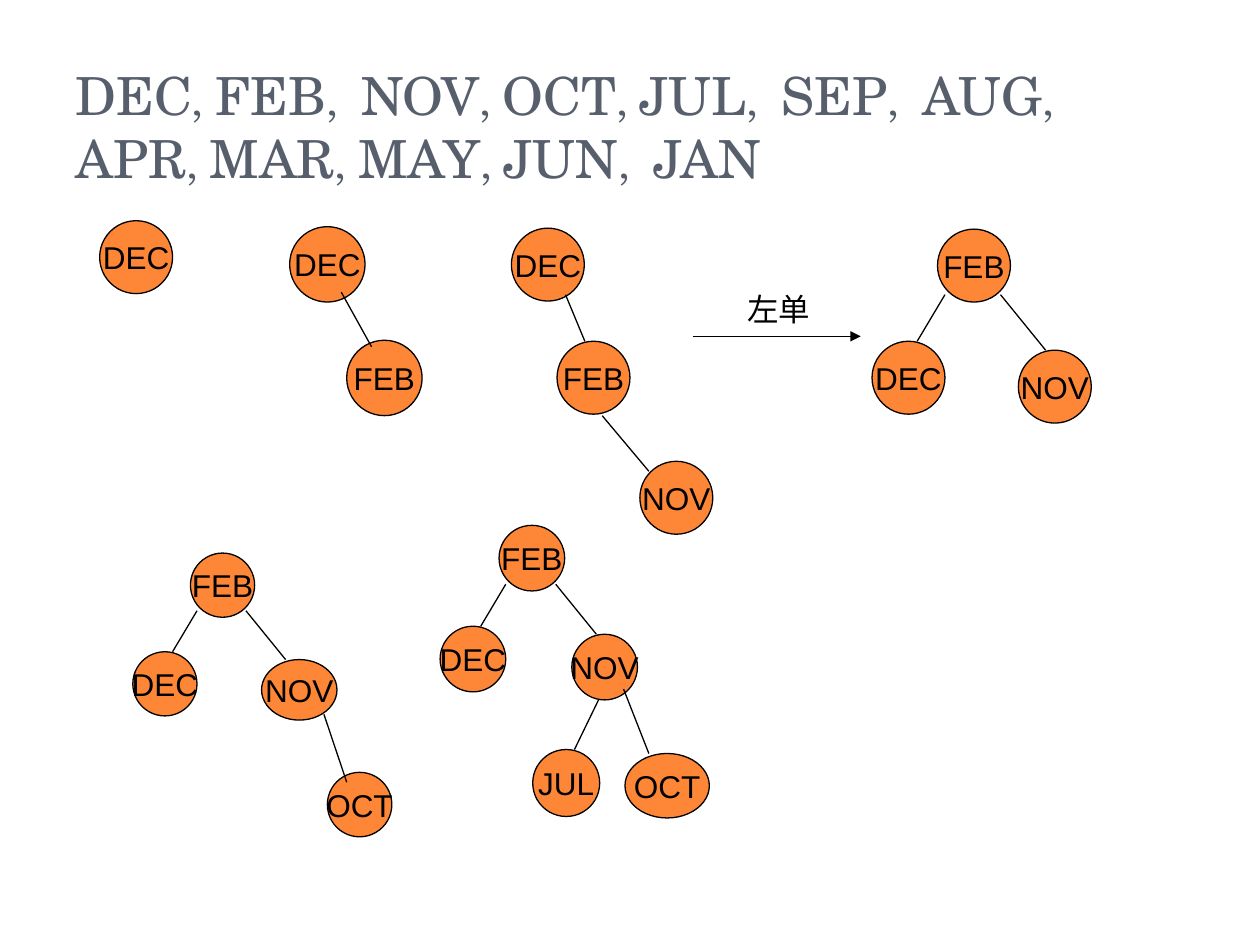
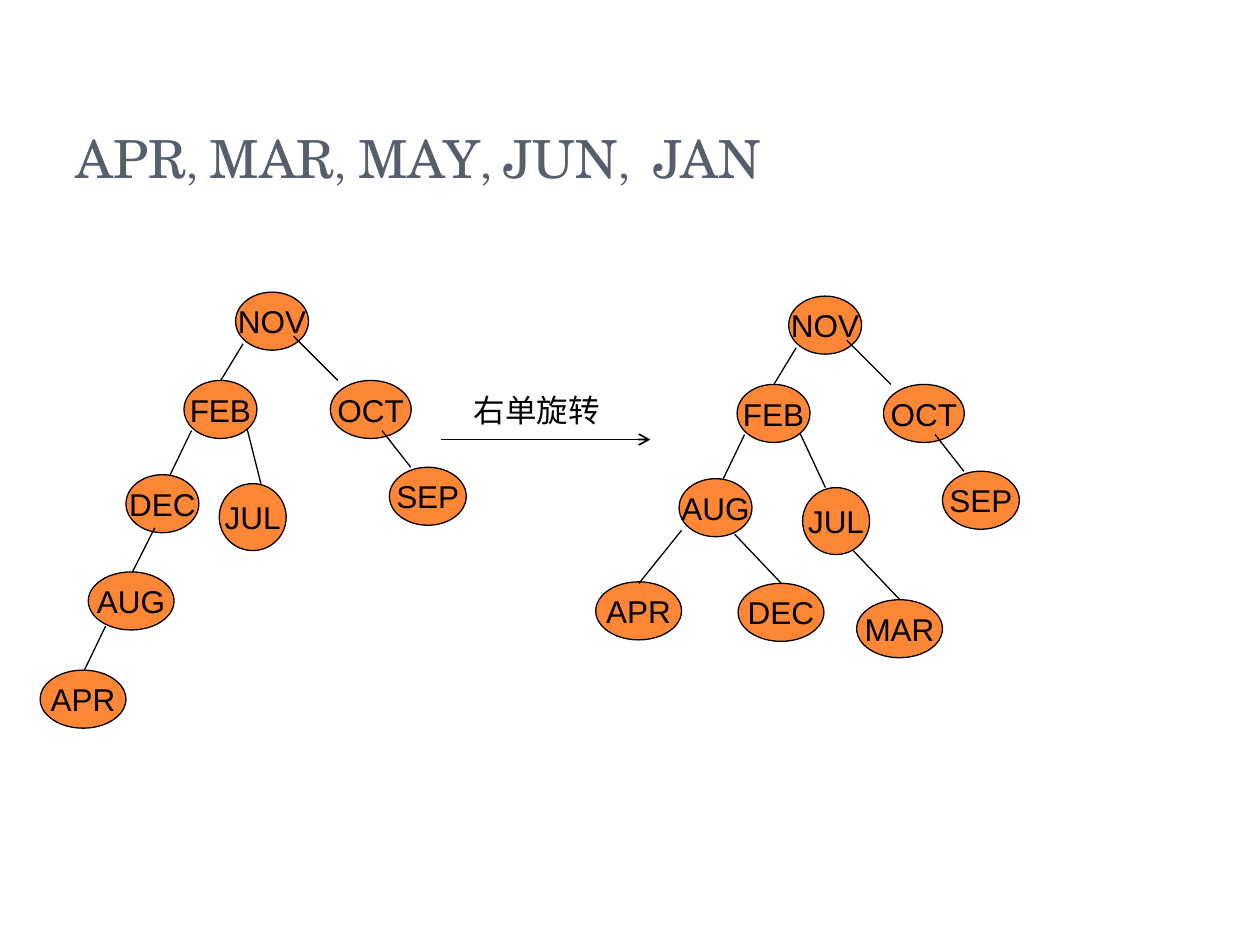
from lxml import etree
from pptx import Presentation
from pptx import util as u
from pptx.dml.color import RGBColor
from pptx.enum import shapes, text
from pptx.oxml.ns import qn


def color(value):
    return RGBColor.from_string(value)


class Deck:
    title_font, body_font = "TeX Gyre Schola", "Arial"
    slate, orange, black = "575F6D", "FE8637", "000000"

    def __init__(self):
        self.prs = Presentation()
        self.prs.slide_width = u.Cm(25.4)
        self.prs.slide_height = u.Cm(19.05)
        self.s = None

    def add_slide(self, title):
        self.s = self.prs.slides.add_slide(self.prs.slide_layouts[6])
        tf = self.text_box(1.27, 0.76, 20.75, 3.18)
        tf.vertical_anchor = text.MSO_ANCHOR.BOTTOM
        self.set_text(tf, title, 30, self.title_font, self.slate)
        tf.paragraphs[0].runs[0].font._element.set("cap", "small")

    def text_box(self, x, y, w, h):
        tf = self.s.shapes.add_textbox(*map(u.Cm, (x, y, w, h))).text_frame
        tf.word_wrap = True
        return tf

    def set_text(self, tf, words, size=18, font=body_font, ink=black):
        tf.text = words
        f = tf.paragraphs[0].runs[0].font
        f.size, f.name = u.Pt(size), font
        f.color.rgb = color(ink)

    def label(self, words, x, y, w):
        self.set_text(self.text_box(x, y, w, 1.02), words)

    def node(self, name, x, y, w=1.47, h=None):
        sp = self.s.shapes.add_shape(
            shapes.MSO_SHAPE.OVAL, *map(u.Cm, (x, y, w, h or w)))
        sp.shadow.inherit = False
        sp.fill.solid()
        sp.fill.fore_color.rgb = color(self.orange)
        sp.line.color.rgb = color(self.black)
        sp.line.width = u.Pt(0.75)
        tf = sp.text_frame
        tf.word_wrap = False
        tf.vertical_anchor = text.MSO_ANCHOR.MIDDLE
        self.set_text(tf, name)
        tf.paragraphs[0].alignment = text.PP_ALIGN.CENTER

    def line(self, x1, y1, x2, y2, width=0.75, head=None):
        cx = self.s.shapes.add_connector(
            shapes.MSO_CONNECTOR.STRAIGHT, *map(u.Cm, (x1, y1, x2, y2)))
        cx.line.color.rgb = color(self.black)
        cx.line.width = u.Pt(width)
        if head:
            etree.SubElement(cx.line._get_or_add_ln(), qn("a:tailEnd"), type=head)
        etree.SubElement(cx._element.spPr, qn("a:effectLst"))

    def tree(self, nodes, edges):
        for node in nodes:
            self.node(*node)
        for edge in edges:
            self.line(*edge)

    def feb_tree(self, x, y, scale=1.0, nov_size=None):
        d = 1.47 * scale
        nodes = [("FEB", 0, 0, (d, d)), ("DEC", -1.32, 2.26, (d, d)),
                 ("NOV", 1.63, 2.44, nov_size or (d, d))]
        edges = [(0.15, 1.32, -0.41, 2.26), (1.27, 1.32, 2.18, 2.44)]
        self.tree(
            [(name, x + dx * scale, y + dy * scale, *size)
             for name, dx, dy, size in nodes],
            [(x + a * scale, y + b * scale, x + c * scale, y + e * scale)
             for a, b, c, e in edges])

    def nov_tree(self, x, y, left_grandchild):
        nodes = [("NOV", 0, 0, 1.47), ("FEB", -1.04, 1.78, 1.47),
                 ("OCT", 1.91, 1.78, 1.63),
                 (left_grandchild, -2.21, 3.68, 1.47), ("SEP", 3.1, 3.53, 1.55)]
        edges = [(0.15, 1.04, -0.3, 1.78), (1.17, 0.89, 2.06, 1.78),
                 (-0.89, 2.79, -1.32, 3.68), (2.95, 2.79, 3.53, 3.53)]
        self.tree([(name, x + dx, y + dy, w, 1.17) for name, dx, dy, w in nodes],
                  [(x + a, y + b, x + c, y + e) for a, b, c, e in edges])


def first_insertions(deck):
    deck.add_slide("DEC, FEB,  NOV, OCT, JUL,  SEP,  AUG,  APR, MAR, MAY, JUN,  JAN")
    deck.node("DEC", 2.01, 4.45)
    deck.tree([("DEC", 5.84, 4.57, 1.52), ("FEB", 6.99, 6.86, 1.52)],
              [(6.88, 5.89, 7.49, 6.99)])
    deck.tree([("DEC", 10.31, 4.6), ("FEB", 11.23, 6.88), ("NOV", 12.9, 9.3)],
              [(11.4, 5.94, 11.79, 6.88), (12.14, 8.38, 13.08, 9.5)])
    deck.line(13.97, 6.78, 17.35, 6.78, head="triangle")
    deck.label("左单", 14.81, 5.72, 1.91)
    deck.feb_tree(18.9, 4.62)
    deck.feb_tree(3.84, 11.15, 0.88, (1.52, 1.22))
    deck.tree([("OCT", 6.6, 15.57, 1.3)], [(6.53, 14.4, 6.99, 15.77)])
    deck.feb_tree(10.06, 10.59, 0.9)
    deck.tree([("JUL", 10.74, 15.11, 1.35), ("OCT", 12.6, 15.19, 1.7, 1.3)],
              [(12.07, 14.1, 11.58, 15.11), (12.57, 13.89, 13.08, 15.19)])


def right_rotation(deck):
    wide = (1.73, 1.17)
    deck.add_slide("APR, MAR, MAY, JUN,  JAN")
    deck.nov_tree(4.75, 5.89, "DEC")
    deck.tree([("AUG", 1.78, 11.53, *wide), ("JUL", 4.42, 9.75, 1.35),
               ("APR", 0.81, 13.51, *wide)],
              [(3.12, 10.64, 2.67, 11.53), (4.98, 8.64, 5.26, 9.75),
               (2.13, 12.62, 1.7, 13.51)])
    deck.nov_tree(15.9, 5.97, "AUG")
    deck.tree([("APR", 12.01, 11.73, *wide), ("JUL", 16.18, 9.83, 1.35),
               ("DEC", 14.88, 11.76, *wide), ("MAR", 17.27, 12.09, *wide)],
              [(13.74, 10.69, 12.88, 11.76), (16.13, 8.74, 16.64, 9.83),
               (14.81, 10.77, 15.75, 11.76), (17.2, 11.1, 18.14, 12.09)])
    deck.line(8.89, 8.86, 13.11, 8.86, 1, "arrow")
    deck.label("右单旋转", 9.3, 7.75, 4.19)


def main():
    deck = Deck()
    first_insertions(deck)
    right_rotation(deck)
    deck.prs.save("out.pptx")


if __name__ == "__main__":
    main()
